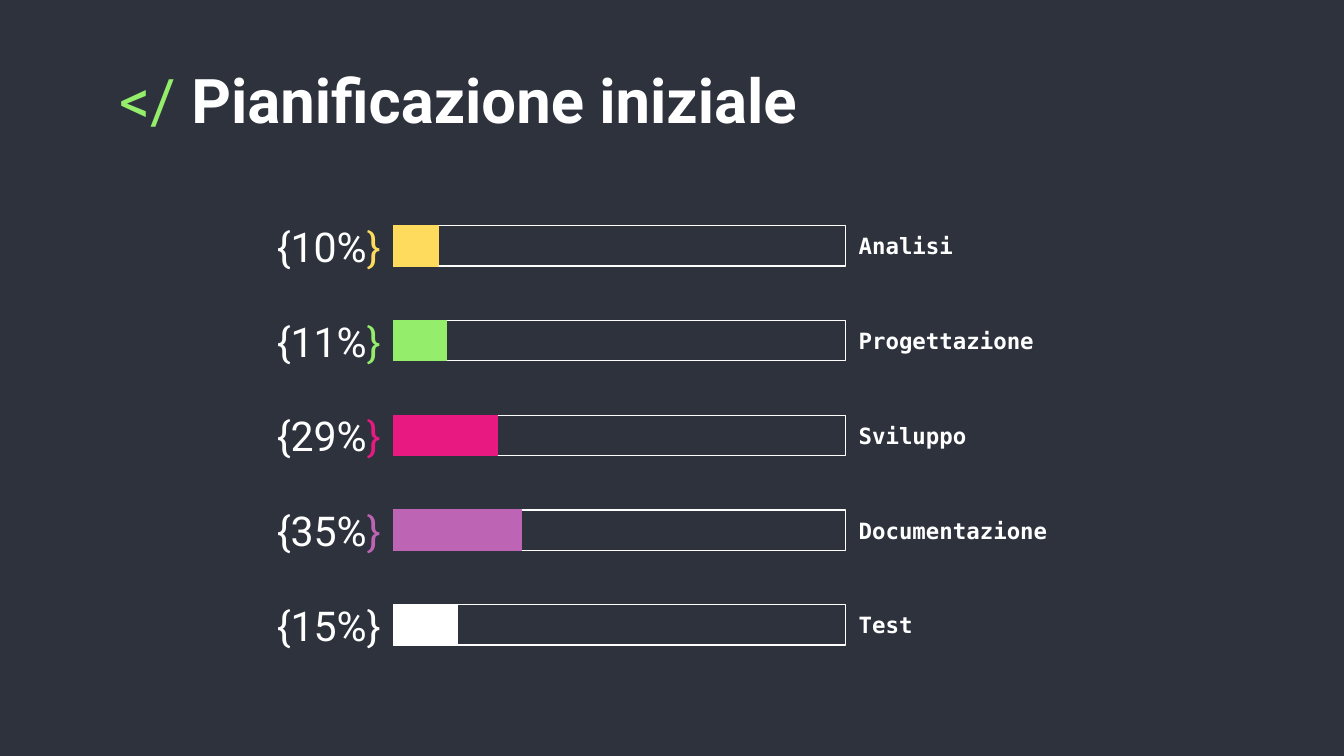
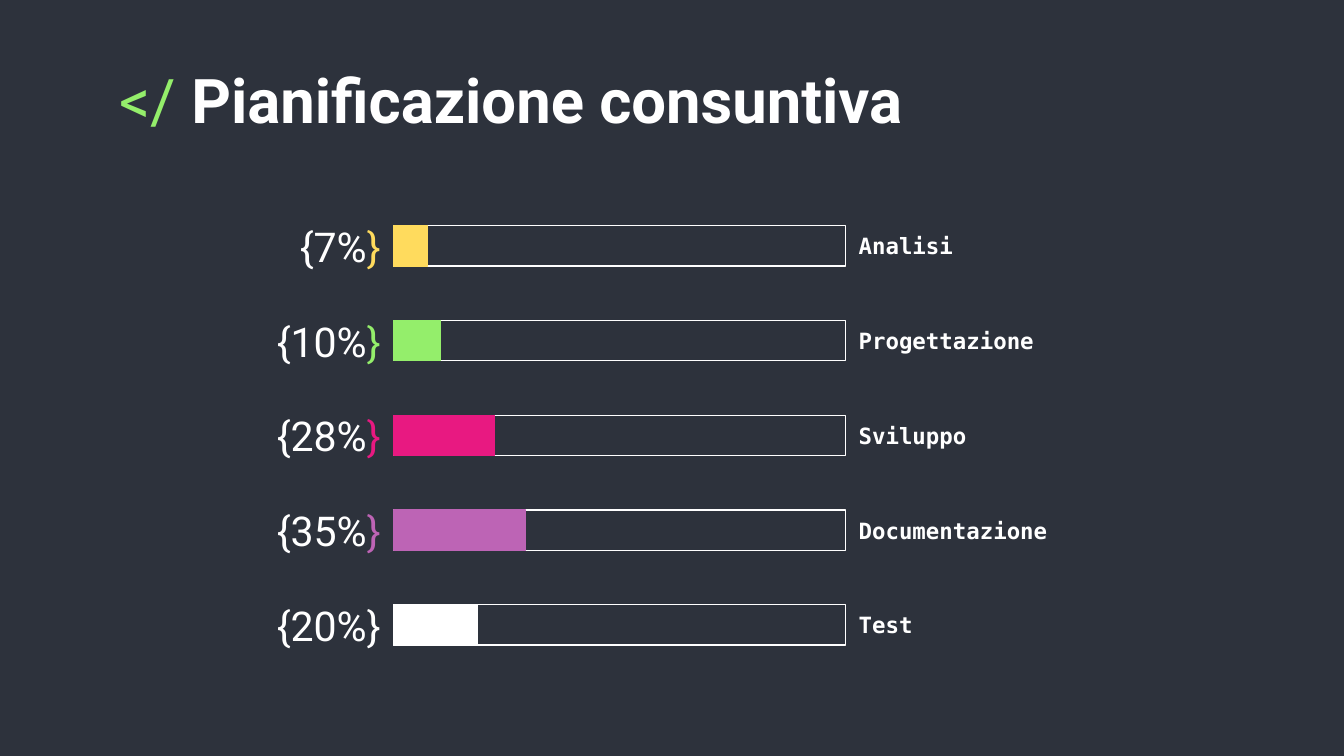
from pptx import Presentation
from pptx import util as u
from pptx.dml.color import RGBColor
from pptx.enum import shapes, text

WIDTH = 10
HEIGHT = WIDTH * 9 / 16
BACKGROUND, WHITE, GREEN = "2D323C", "FFFFFF", "94EE6B"
SANS, MONO = "Roboto", "DejaVu Sans Mono"

PERCENT_LEFT, BAR_LEFT, LABEL_LEFT, RIGHT = 1.64, 2.93, 6.29, 9.21
FIRST_ROW_CENTRE, LAST_ROW_CENTRE = 1.83, 4.65
BAR_HEIGHT, TEXT_HEIGHT = 0.3, 0.5

PHASES = [
    ("Analisi", "FFDB5D"),
    ("Progettazione", GREEN),
    ("Sviluppo", "E81981"),
    ("Documentazione", "BD64B5"),
    ("Test", WHITE),
]
ROW_PITCH = (LAST_ROW_CENTRE - FIRST_ROW_CENTRE) / (len(PHASES) - 1)

PLANS = [
    ("Pianificazione iniziale",
     [(10, 0.33), (11, 0.39), (29, 0.77), (35, 0.95), (15, 0.47)]),
    ("Pianificazione consuntiva",
     [(7, 0.25), (10, 0.35), (28, 0.75), (35, 0.98), (20, 0.62)]),
]


def color(value):
    return RGBColor.from_string(value)


def add_text(slide, left, top, width, height, runs, size, font=SANS,
             align=text.PP_ALIGN.LEFT, anchor=text.MSO_ANCHOR.MIDDLE):
    box = slide.shapes.add_textbox(*map(u.Inches, (left, top, width, height)))
    frame = box.text_frame
    frame.word_wrap = True
    frame.vertical_anchor = anchor
    frame.margin_left = frame.margin_right = u.Inches(0.1)
    frame.margin_top = frame.margin_bottom = u.Inches(0.1)
    paragraph = frame.paragraphs[0]
    paragraph.alignment = align
    for content, run_color, bold in runs:
        run = paragraph.add_run()
        run.text = content
        run.font.name = font
        run.font.size = u.Pt(size)
        run.font.bold = bold
        run.font.color.rgb = color(run_color)


def add_title(slide, title):
    add_text(slide, 0.79, 0.36, 8.43, 0.63,
             [("</", GREEN, False), (" " + title, WHITE, True)],
             33, anchor=text.MSO_ANCHOR.TOP)


def add_bar(slide, centre, width, line, fill=None):
    bounds = (BAR_LEFT, centre - BAR_HEIGHT / 2, width, BAR_HEIGHT)
    bar = slide.shapes.add_shape(shapes.MSO_SHAPE.RECTANGLE, *map(u.Inches, bounds))
    bar.shadow.inherit = False
    bar.line.color.rgb = color(line)
    bar.line.width = u.Pt(0.75)
    if fill:
        bar.fill.solid()
        bar.fill.fore_color.rgb = color(fill)
    else:
        bar.fill.background()


def percent_runs(percent, accent):
    if accent == WHITE:
        return [(f"{{{percent}%}}", WHITE, False)]
    return [(f"{{{percent}%", WHITE, False), ("}", accent, False)]


def add_phase(slide, row, phase, percent, progress):
    label, accent = phase
    centre = FIRST_ROW_CENTRE + row * ROW_PITCH
    text_top = centre - TEXT_HEIGHT / 2
    add_bar(slide, centre, LABEL_LEFT - BAR_LEFT, WHITE)
    add_bar(slide, centre, progress, accent, accent)
    add_text(slide, PERCENT_LEFT, text_top, BAR_LEFT - PERCENT_LEFT, TEXT_HEIGHT,
             percent_runs(percent, accent), 22, align=text.PP_ALIGN.RIGHT)
    add_text(slide, LABEL_LEFT, text_top, RIGHT - LABEL_LEFT, TEXT_HEIGHT,
             [(label, WHITE, True)], 12, font=MONO)


def add_plan(presentation, title, values):
    slide = presentation.slides.add_slide(presentation.slide_layouts[6])
    slide.background.fill.solid()
    slide.background.fill.fore_color.rgb = color(BACKGROUND)
    add_title(slide, title)
    for row, (phase, (percent, progress)) in enumerate(zip(PHASES, values)):
        add_phase(slide, row, phase, percent, progress)


def main():
    presentation = Presentation()
    presentation.slide_width = u.Inches(WIDTH)
    presentation.slide_height = u.Inches(HEIGHT)
    for title, values in PLANS:
        add_plan(presentation, title, values)
    presentation.save("out.pptx")


if __name__ == "__main__":
    main()
